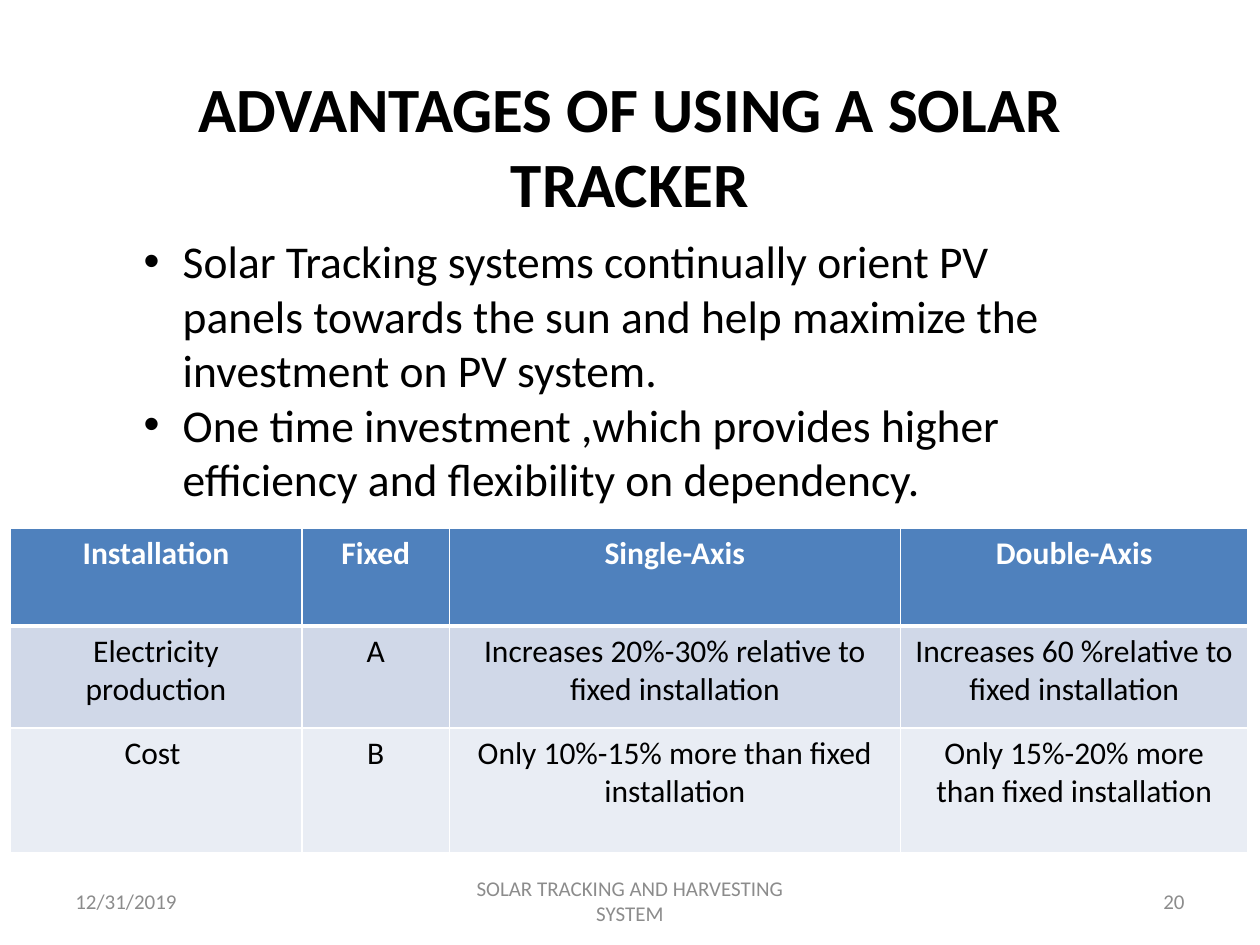
from dataclasses import dataclass

from lxml import etree
from pptx import Presentation
from pptx.dml.color import RGBColor
from pptx.enum.text import MSO_ANCHOR, MSO_AUTO_SIZE, PP_ALIGN
from pptx.oxml.ns import qn
from pptx.util import Cm, Pt

LEFT, CENTER, RIGHT = PP_ALIGN.LEFT, PP_ALIGN.CENTER, PP_ALIGN.RIGHT
TOP, MIDDLE = MSO_ANCHOR.TOP, MSO_ANCHOR.MIDDLE
NO_AUTOFIT = MSO_AUTO_SIZE.NONE


@dataclass(frozen=True)
class Theme:
    font: str = "Calibri"
    text: str = "000000"
    muted: str = "8C8C8C"
    white: str = "FFFFFF"
    header_fill: str = "4F81BD"
    row_fills: tuple = ("D0D8E8", "E9EDF4")
    title_size: int = 36
    body_size: int = 26
    table_size: int = 18
    footer_size: int = 12


THEME = Theme()

TITLE = "ADVANTAGES OF USING A SOLAR TRACKER"
BULLETS = [
    "Solar Tracking systems continually orient PV panels towards the sun "
    "and help maximize the investment on PV system.",
    "One time investment ,which provides higher efficiency and flexibility "
    "on dependency.",
]
TABLE_ROWS = [
    ["Installation", "Fixed", "Single-Axis", "Double-Axis"],
    ["Electricity production", "A",
     "Increases 20%-30% relative to fixed installation",
     "Increases 60 %relative to fixed installation"],
    ["Cost ", "B", "Only 10%-15% more than fixed installation",
     "Only 15%-20% more than fixed installation"],
]
COLUMN_WIDTHS = [5.89, 2.97, 9.09, 7.01]
ROW_HEIGHTS = [1.98, 2.06, 2.51]
# Text, left, width and alignment of each footer field
FOOTERS = [
    ("12/31/2019", 1.27, 5.93, LEFT),
    ("SOLAR TRACKING AND HARVESTING SYSTEM", 8.68, 8.04, CENTER),
    ("20", 18.2, 5.93, RIGHT),
]


def apply_format(target, values):
    for name, value in values.items():
        setattr(target, name, value)


def place(shape, left, top, width, height):
    apply_format(shape, {"left": Cm(left), "top": Cm(top),
                         "width": Cm(width), "height": Cm(height)})


def format_frame(text_frame, anchor):
    apply_format(text_frame, {"word_wrap": True, "auto_size": NO_AUTOFIT,
                              "vertical_anchor": anchor})


def write(paragraph, text, size, color, alignment=LEFT, bold=False):
    apply_format(paragraph, {"alignment": alignment, "space_before": Pt(0)})
    run = paragraph.add_run()
    run.text = text
    apply_format(run.font, {"name": THEME.font, "size": Pt(size), "bold": bold})
    run.font.color.rgb = RGBColor.from_string(color)


def add_bullet(paragraph, indent):
    properties = paragraph._p.get_or_add_pPr()
    properties.set("marL", str(Cm(indent)))
    properties.set("indent", str(-Cm(indent)))
    etree.SubElement(properties, qn("a:buChar"), char="•")


def set_border(cell, side, width):
    properties = cell._tc.get_or_add_tcPr()
    line = etree.SubElement(properties, qn(f"a:ln{side}"), w=str(Pt(width)))
    fill = etree.SubElement(line, qn("a:solidFill"))
    etree.SubElement(fill, qn("a:srgbClr"), val=THEME.white)


def fill_title(slide):
    title = slide.shapes.title
    place(title, 1.27, 1.27, 22.86, 3.33)
    format_frame(title.text_frame, TOP)
    write(title.text_frame.paragraphs[0], TITLE, THEME.title_size,
          THEME.text, CENTER, bold=True)


def fill_body(slide):
    body = slide.placeholders[1]
    place(body, 2.64, 4.57, 20.12, 5.82)
    text_frame = body.text_frame
    format_frame(text_frame, TOP)
    for index, text in enumerate(BULLETS):
        paragraph = text_frame.add_paragraph() if index else text_frame.paragraphs[0]
        write(paragraph, text, THEME.body_size, THEME.text)
        add_bullet(paragraph, 0.79)


def format_cell(cell, text, row_index):
    is_header = row_index == 0
    # The rule below the header is heavier than the rest of the grid
    widths = {"L": 1, "R": 1, "T": 3 if row_index == 1 else 1,
              "B": 3 if is_header else 1}
    for side, width in widths.items():
        set_border(cell, side, width)
    fill = THEME.header_fill if is_header else THEME.row_fills[row_index - 1]
    cell.fill.solid()
    cell.fill.fore_color.rgb = RGBColor.from_string(fill)
    write(cell.text_frame.paragraphs[0], text, THEME.table_size,
          THEME.white if is_header else THEME.text, CENTER, bold=is_header)


def add_comparison_table(slide):
    frame = slide.shapes.add_table(
        len(ROW_HEIGHTS), len(COLUMN_WIDTHS), Cm(0.2), Cm(10.64),
        Cm(sum(COLUMN_WIDTHS)), Cm(sum(ROW_HEIGHTS)))
    table = frame.table
    for column, width in zip(table.columns, COLUMN_WIDTHS):
        column.width = Cm(width)
    for row_index, (row, height) in enumerate(zip(table.rows, ROW_HEIGHTS)):
        row.height = Cm(height)
        for cell, text in zip(row.cells, TABLE_ROWS[row_index]):
            format_cell(cell, text, row_index)


def add_footer(slide, text, left, width, alignment):
    box = slide.shapes.add_textbox(Cm(left), Cm(17.65), Cm(width), Cm(1.02))
    format_frame(box.text_frame, MIDDLE)
    write(box.text_frame.paragraphs[0], text, THEME.footer_size,
          THEME.muted, alignment)


def main():
    presentation = Presentation()
    presentation.slide_width, presentation.slide_height = Cm(25.4), Cm(19.05)
    slide = presentation.slides.add_slide(presentation.slide_layouts[1])

    # Footer fields
    for footer in FOOTERS:
        add_footer(slide, *footer)

    # Title, advantages and comparison
    fill_title(slide)
    fill_body(slide)
    add_comparison_table(slide)

    presentation.save("out.pptx")


if __name__ == "__main__":
    main()
